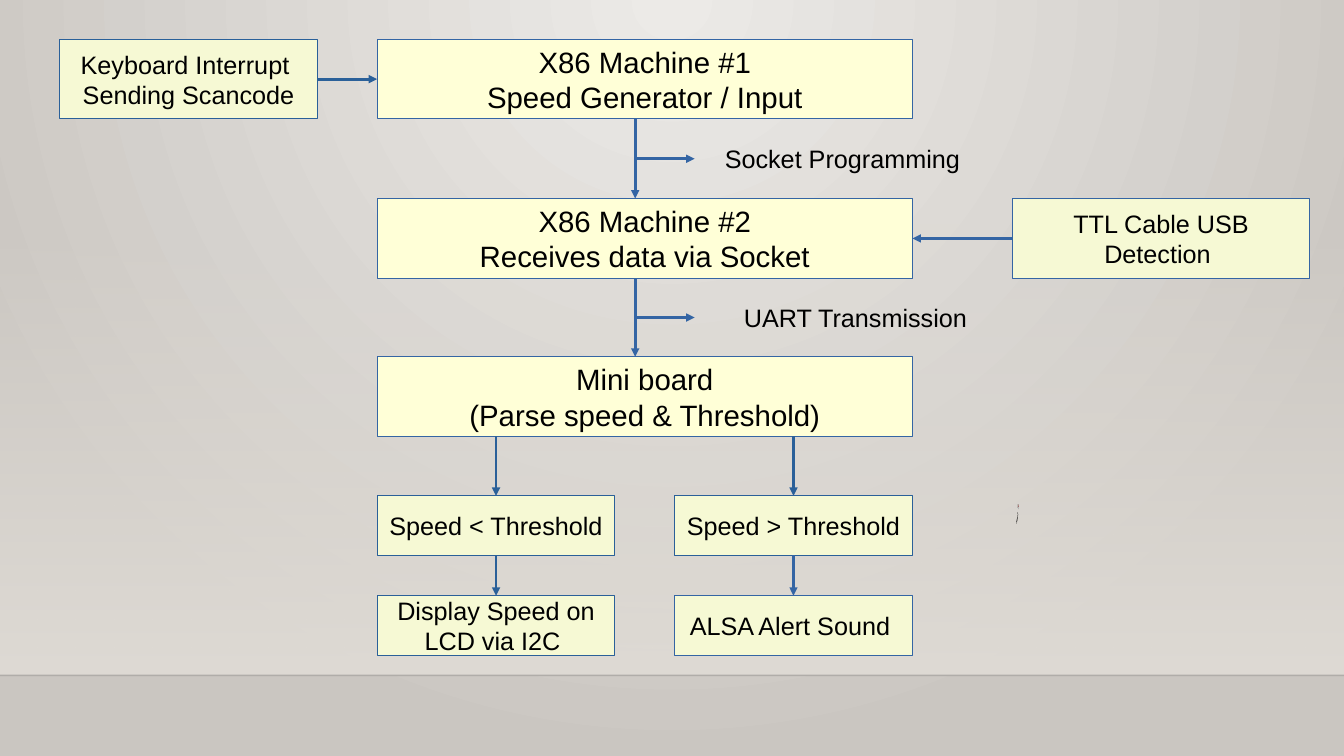
from dataclasses import dataclass

from lxml.etree import SubElement
from pptx import Presentation
from pptx.chart.data import CategoryChartData
from pptx.dml.color import RGBColor
from pptx.enum.chart import XL_CHART_TYPE, XL_TICK_MARK
from pptx.enum.shapes import MSO_CONNECTOR, MSO_SHAPE
from pptx.enum.text import MSO_ANCHOR, MSO_AUTO_SIZE, PP_ALIGN
from pptx.oxml import parse_xml
from pptx.oxml.ns import nsdecls, qn
from pptx.util import Inches, Pt


@dataclass(frozen=True)
class Theme:
    font: str = "Arial"
    ink: str = "000000"
    machine: str = "FFFFD7"
    step: str = "F6F9D4"
    blue: str = "3465A4"
    navy: str = "2A6099"
    glow: str = "ECEAE7"
    edge: str = "CAC6C1"
    wall: str = "DFDBD5"
    floor: str = "000001"
    axis: str = "B3B3B3"
    bars: tuple = ("004586", "FF420E")
    machine_size: int = 21
    step_size: int = 18
    chart_size: int = 10


THEME = Theme()
WIDTH, HEIGHT = 13.33, 7.5
FLOOR_Y = 6.7
LEFT_X, RIGHT_X = 3.74, 6.69
MACHINE_W, BRANCH_W = 5.31, 2.36
MACHINE_H, BRANCH_H = 0.79, 0.59
MACHINE_ROWS = (0.39, 1.97, 3.54)
CHECK_Y, ACTION_Y = 4.92, 5.91
FLOW_X = 6.3


def rgb(value):
    return RGBColor.from_string(value)


def write(tf, text, size=THEME.step_size, color=THEME.ink,
          align=PP_ALIGN.CENTER, anchor=MSO_ANCHOR.MIDDLE):
    tf.word_wrap = True
    tf.vertical_anchor = anchor
    tf.text = text
    for p in tf.paragraphs:
        p.alignment = align
        p.font.name = THEME.font
        p.font.size = Pt(size)
        p.font.color.rgb = rgb(color)


def add_rect(s, x, y, w, h):
    sp = s.shapes.add_shape(MSO_SHAPE.RECTANGLE, Inches(x), Inches(y), Inches(w), Inches(h))
    sp.shadow.inherit = False
    return sp


def add_box(s, text, x, y, w, h, fill=THEME.step, line=THEME.blue, size=THEME.step_size):
    sp = add_rect(s, x, y, w, h)
    sp.fill.solid()
    sp.fill.fore_color.rgb = rgb(fill)
    sp.line.color.rgb = rgb(line)
    sp.line.width = Pt(0)
    write(sp.text_frame, text, size=size)


def add_label(s, text, x, y, w):
    box = s.shapes.add_textbox(Inches(x), Inches(y), Inches(w), Inches(0.38))
    write(box.text_frame, text, align=PP_ALIGN.LEFT, anchor=MSO_ANCHOR.TOP)
    box.text_frame.auto_size = MSO_AUTO_SIZE.SHAPE_TO_FIT_TEXT


def add_line(s, x1, y1, x2, y2, color=THEME.blue, width=0):
    line = s.shapes.add_connector(
        MSO_CONNECTOR.STRAIGHT, Inches(x1), Inches(y1), Inches(x2), Inches(y2))
    line.line.color.rgb = rgb(color)
    line.line.width = Pt(width)
    SubElement(line.element.spPr, qn("a:effectLst"))
    return line


def add_arrow(s, x1, y1, x2, y2, color=THEME.blue):
    line = add_line(s, x1, y1, x2, y2, color)
    SubElement(line.line._get_or_add_ln(), qn("a:tailEnd"), type="triangle")


def set_gradient(fill, start, end):
    fill.gradient()
    for stop, color, position in zip(fill.gradient_stops, (start, end), (0, 1)):
        stop.color.rgb = rgb(color)
        stop.position = position


def set_alpha(element, percent):
    SubElement(element.find(".//" + qn("a:srgbClr")), qn("a:alpha"), val=str(percent * 1000))


def add_backdrop(s):
    set_gradient(s.background.fill, THEME.glow, THEME.edge)
    lin = s.element.find(".//" + qn("a:lin"))
    lin.getparent().replace(lin, parse_xml(
        f'<a:path {nsdecls("a")} path="circle">'
        '<a:fillToRect l="50000" t="0" r="50000" b="100000"/></a:path>'))
    wall = add_rect(s, 0, 2.21, WIDTH, FLOOR_Y - 2.21)
    set_gradient(wall.fill, THEME.wall, THEME.wall)
    wall.fill.gradient_angle = 270
    wall.line.fill.background()
    set_alpha(wall.element.spPr, 0)
    floor = add_line(s, 0, FLOOR_Y, WIDTH, FLOOR_Y, THEME.floor, width=1)
    set_alpha(floor.element.spPr, 20)


def add_bar_chart(s, x, y, w, h):
    data = CategoryChartData()
    data.categories = [f"Row {i}" for i in range(1, 5)]
    data.add_series("Series 1", (9.1, 2.4, 3.1, 4.3))
    data.add_series("Series 2", (3.2, 8.8, 1.5, 9))
    chart = s.shapes.add_chart(XL_CHART_TYPE.COLUMN_CLUSTERED, Inches(x), Inches(y),
                               Inches(w), Inches(h), data).chart
    chart.has_legend = False
    chart.has_title = False
    chart.font.name = THEME.font
    chart.font.size = Pt(THEME.chart_size)
    chart.font.color.rgb = rgb(THEME.ink)
    plot = chart.plots[0]
    plot.gap_width = 100
    plot.vary_by_categories = False
    for series, color in zip(plot.series, THEME.bars):
        series.format.fill.solid()
        series.format.fill.fore_color.rgb = rgb(color)
    grid = chart.value_axis.major_gridlines
    for part in (chart.category_axis, chart.value_axis, grid):
        part.format.line.color.rgb = rgb(THEME.axis)
        part.format.line.width = Pt(0)
    for axis in (chart.category_axis, chart.value_axis):
        axis.major_tick_mark = XL_TICK_MARK.OUTSIDE


def add_machines(s):
    texts = ("X86 Machine #1\nSpeed Generator / Input",
             "X86 Machine #2\nReceives data via Socket",
             "Mini board\n(Parse speed & Threshold)")
    for text, y in zip(texts, MACHINE_ROWS):
        add_box(s, text, LEFT_X, y, MACHINE_W, MACHINE_H,
                fill=THEME.machine, size=THEME.machine_size)
    links = (("Socket Programming", 7.09, 4.13), ("UART Transmission", 7.28, 2.56))
    for (text, x, w), y, below in zip(links, MACHINE_ROWS, MACHINE_ROWS[1:]):
        top = y + MACHINE_H
        middle = (top + below) / 2
        add_arrow(s, FLOW_X, top, FLOW_X, below)
        add_arrow(s, FLOW_X, middle, FLOW_X + 0.59, middle)
        add_label(s, text, x, middle - 0.2, w)


def add_branches(s):
    branches = (
        (LEFT_X, "Speed < Threshold", "Display Speed on LCD via I2C ", THEME.navy),
        (RIGHT_X, "Speed > Threshold", "ALSA Alert Sound ", THEME.blue),
    )
    for x, check, action, color in branches:
        center = x + BRANCH_W / 2
        add_box(s, check, x, CHECK_Y, BRANCH_W, BRANCH_H, line=THEME.navy)
        add_box(s, action, x, ACTION_Y, BRANCH_W, BRANCH_H, line=color)
        add_arrow(s, center, MACHINE_ROWS[-1] + MACHINE_H, center, CHECK_Y, THEME.navy)
        add_arrow(s, center, CHECK_Y + BRANCH_H, center, ACTION_Y, color)


def add_inputs(s):
    keyboard_y, cable_y = MACHINE_ROWS[:2]
    half = MACHINE_H / 2
    add_box(s, "Keyboard Interrupt \nSending Scancode", 0.59, keyboard_y, 2.56, MACHINE_H,
            line=THEME.navy)
    add_arrow(s, 3.15, keyboard_y + half, LEFT_X, keyboard_y + half, THEME.navy)
    add_box(s, "TTL Cable USB Detection ", 10.04, cable_y, 2.95, MACHINE_H)
    add_arrow(s, 10.04, cable_y + half, LEFT_X + MACHINE_W, cable_y + half)


def main():
    prs = Presentation()
    prs.slide_width, prs.slide_height = Inches(WIDTH), Inches(HEIGHT)
    s = prs.slides.add_slide(prs.slide_layouts[6])
    add_backdrop(s)
    add_machines(s)
    add_branches(s)
    add_bar_chart(s, 10.08, 5, 0.02, 0.21)
    add_inputs(s)
    prs.save("out.pptx")


if __name__ == "__main__":
    main()
